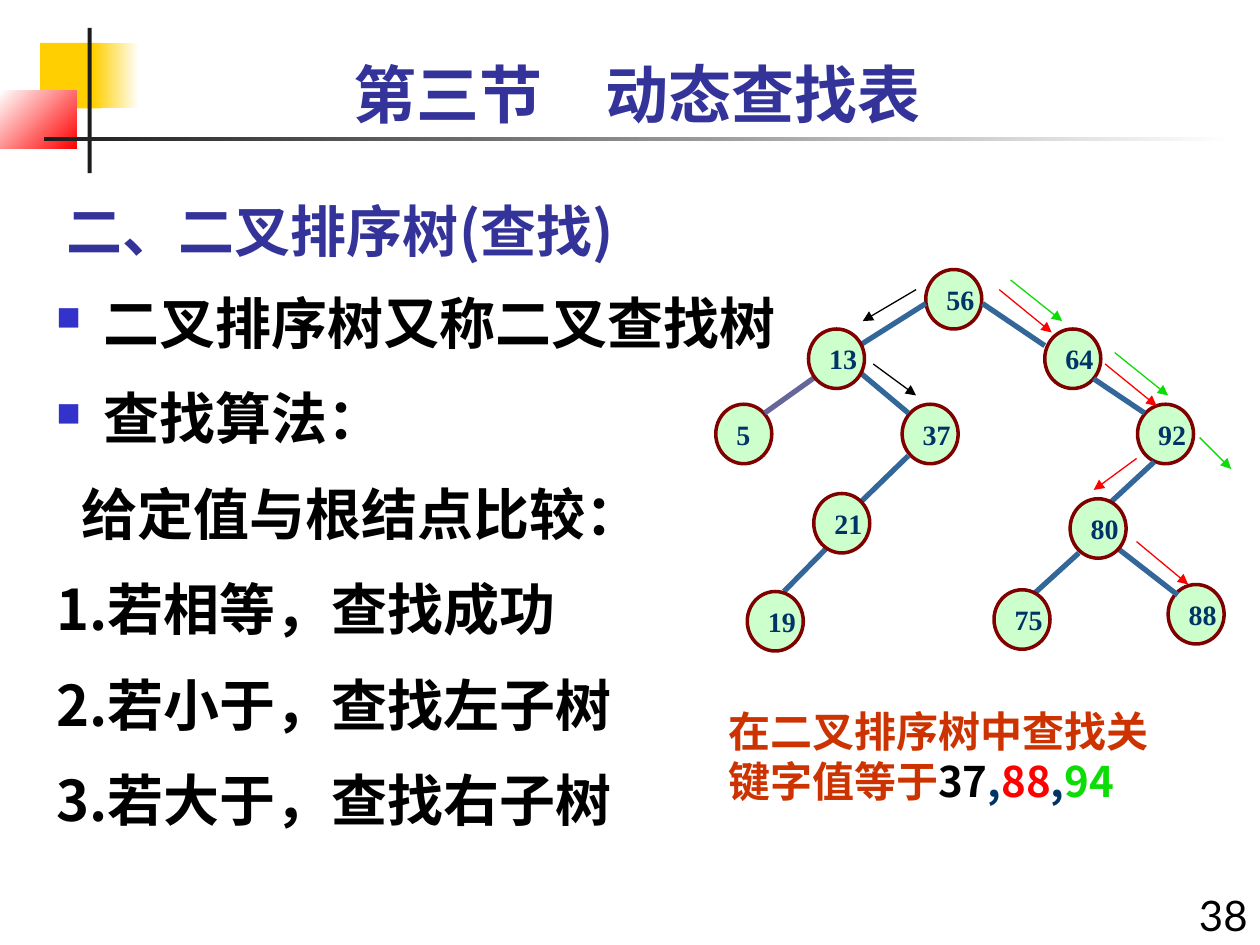
from lxml.etree import SubElement
from pptx import Presentation
from pptx.dml.color import RGBColor
from pptx.enum.shapes import MSO_CONNECTOR as CONNECTOR, MSO_SHAPE as SHAPE
from pptx.enum.text import MSO_ANCHOR as ANCHOR, PP_ALIGN as ALIGN
from pptx.oxml.ns import qn
from pptx.util import Pt

YELLOW = RGBColor(0xFF, 0xCF, 0x01)
WHITE = RGBColor(0xFF, 0xFF, 0xFF)
RED = RGBColor(0xFF, 0x00, 0x00)
GREEN = RGBColor(0x0C, 0xDD, 0x07)
BLACK = RGBColor(0x00, 0x00, 0x00)
CHARCOAL = RGBColor(0x1C, 0x1C, 0x1C)
INDIGO = RGBColor(0x33, 0x33, 0x99)
BULLET_BLUE = RGBColor(0x33, 0x33, 0xCC)
RUST = RGBColor(0xCC, 0x33, 0x00)
NAVY = RGBColor(0x00, 0x33, 0x66)
MINT = RGBColor(0xCC, 0xFF, 0xCC)
MAROON = RGBColor(0x80, 0x00, 0x00)
STEEL = RGBColor(0x33, 0x66, 0x99)
VIOLET = RGBColor(0x66, 0x66, 0x99)

CJK, LATIN, SERIF = "Noto Sans CJK SC", "Lato", "Times New Roman"
NODE_WIDTH, NODE_HEIGHT = 32, 34

ROOT_NODES = [("56", 120, 0), ("64", 188, 34), ("5", 0, 77),
              ("92", 241, 77), ("37", 106.5, 77), ("88", 258.5, 180)]
FRONT_NODES = [("19", 18, 184), ("80", 202.5, 131), ("21", 56, 128),
               ("13", 53, 34), ("75", 159, 183)]
BRANCHES = [
    (120, 19.5, 82, 43.5, STEEL), (56, 62, 28, 82, VIOLET),
    (152.5, 19.5, 188, 43.5, STEEL), (82, 58.5, 110, 82, STEEL),
    (110, 106.5, 75.5, 140, STEEL), (216, 62.5, 245, 82, STEEL),
    (250.5, 110, 223, 135.5, STEEL), (230.5, 160, 264, 186, STEEL),
    (67.5, 155, 39, 184, STEEL), (207.5, 162, 180, 187, STEEL),
]
SEARCH_STEPS = [
    (114.5, 11.5, 84, 29.5, BLACK), (90, 54, 114.5, 72, BLACK),
    (162, 11.5, 192, 36, RED), (222.5, 54, 252, 78, RED),
    (240.5, 155.5, 270, 180, RED), (240.5, 108, 216, 126, RED),
    (168.5, 6, 198, 29.5, GREEN), (228, 47.5, 258.5, 72, GREEN),
    (276.5, 96, 294.5, 114, GREEN),
]


def set_font(font, name, size, color, bold=True):
    font.name, font.size, font.bold = name, Pt(size), bold
    font.color.rgb = color


def add_block(slide, left, top, width, height, start, end=None, angle=0):
    block = slide.shapes.add_shape(
        SHAPE.RECTANGLE, Pt(left), Pt(top), Pt(width), Pt(height))
    block.shadow.inherit = False
    block.line.fill.background()
    if end is None:
        block.fill.solid()
        block.fill.fore_color.rgb = start
        return
    block.fill.gradient()
    block.fill.gradient_angle = angle
    for stop, color, position in zip(block.fill.gradient_stops, (start, end), (0, 1)):
        stop.color.rgb = color
        stop.position = position


def add_frame(slide, left, top, width, height):
    frame = slide.shapes.add_textbox(
        Pt(left), Pt(top), Pt(width), Pt(height)).text_frame
    frame.word_wrap = True
    return frame


def add_heading(slide, box, text, font, size, color, bold=True,
                align=ALIGN.LEFT, anchor=ANCHOR.TOP):
    frame = add_frame(slide, *box)
    frame.vertical_anchor = anchor
    paragraph = frame.paragraphs[0]
    paragraph.text = text
    paragraph.alignment = align
    set_font(paragraph.font, font, size, color, bold)


def add_ornament(slide, left, top):
    add_block(slide, left + 23, top + 8.5, 34.5, 37.5, YELLOW)
    add_block(slide, left + 53.5, top + 8.5, 26, 37.5, YELLOW, WHITE)
    add_block(slide, left, top + 36, 44, 33, WHITE, RED, 315)
    add_block(slide, left + 50, top, 2.4, 83, CHARCOAL)
    add_block(slide, left + 25, top + 62, 680, 2.4, CHARCOAL, WHITE)


def add_bullet(properties):
    color = SubElement(properties, qn("a:buClr"))
    SubElement(color, qn("a:srgbClr"), val=str(BULLET_BLUE))
    SubElement(properties, qn("a:buSzPct"), val="60000")
    SubElement(properties, qn("a:buChar"), char="■")


def add_algorithm(slide, left, top, width, height):
    lines = [
        ("二叉排序树又称二叉查找树", 27, -27, True),
        ("查找算法：", 27, -27, True),
        ("给定值与根结点比较：", 14.5, 0, False),
        ("1.若相等，查找成功", 27, -27, False),
        ("2.若小于，查找左子树", 27, -27, False),
        ("3.若大于，查找右子树", 27, -27, False),
    ]
    frame = add_frame(slide, left, top, width, height)
    for index, (text, margin, indent, bulleted) in enumerate(lines):
        paragraph = frame.add_paragraph() if index else frame.paragraphs[0]
        paragraph.text = text
        paragraph.line_spacing = 0.9
        if index:
            paragraph.space_before = Pt(20)
        properties = paragraph._p.get_or_add_pPr()
        properties.set("marL", str(Pt(margin)))
        properties.set("indent", str(Pt(indent)))
        if bulleted:
            add_bullet(properties)
        set_font(paragraph.font, CJK, 32, BLACK)


def add_question(slide, left, top, width, height):
    paragraph = add_frame(slide, left, top, width, height).paragraphs[0]
    for text, color in [("在二叉排序树中查找关键字值等于", RUST), ("37", BLACK),
                        (",", NAVY), ("88", RED), (",", NAVY), ("94", GREEN)]:
        run = paragraph.add_run()
        run.text = text
        set_font(run.font, CJK, 24, color)


def add_node(slide, key, left, top):
    node = slide.shapes.add_shape(
        SHAPE.OVAL, Pt(left), Pt(top), Pt(NODE_WIDTH), Pt(NODE_HEIGHT))
    node.shadow.inherit = False
    node.fill.solid()
    node.fill.fore_color.rgb = MINT
    node.line.color.rgb = MAROON
    node.line.width = Pt(2)
    frame = node.text_frame
    frame.word_wrap = False
    frame.vertical_anchor = ANCHOR.MIDDLE
    paragraph = frame.paragraphs[0]
    paragraph.text = key
    paragraph.alignment = ALIGN.LEFT
    set_font(paragraph.font, SERIF, 16, NAVY)


def add_line(slide, start_x, start_y, end_x, end_y, color, width, arrow=False):
    line = slide.shapes.add_connector(
        CONNECTOR.STRAIGHT, Pt(start_x), Pt(start_y), Pt(end_x), Pt(end_y))
    line.line.color.rgb = color
    line.line.width = Pt(width)
    if arrow:
        SubElement(line.line._get_or_add_ln(), qn("a:tailEnd"), type="triangle")
    SubElement(line._element.spPr, qn("a:effectLst"))


def add_tree(slide, left, top):
    def add_nodes(nodes):
        for key, x, y in nodes:
            add_node(slide, key, left + x, top + y)

    def add_lines(lines, width, arrow):
        for x1, y1, x2, y2, color in lines:
            add_line(slide, left + x1, top + y1, left + x2, top + y2,
                     color, width, arrow)

    add_nodes(ROOT_NODES)
    add_lines(BRANCHES, 3, False)
    add_nodes(FRONT_NODES)
    add_lines(SEARCH_STEPS, 0.75, True)


def main():
    deck = Presentation()
    deck.slide_width, deck.slide_height = Pt(720), Pt(540)
    slide = deck.slides.add_slide(deck.slide_layouts[6])
    add_ornament(slide, 0, 16)
    add_heading(slide, (31, 100, 450, 54), "二、二叉排序树(查找)",
                CJK, 32, INDIGO, anchor=ANCHOR.BOTTOM)
    add_heading(slide, (672, 505, 48, 42), "38", LATIN, 24, BLACK,
                bold=False, align=ALIGN.RIGHT)
    add_heading(slide, (31, 28, 666, 50), "第三节\u3000动态查找表".replace("\u3000", "　"),
                LATIN, 36, INDIGO, align=ALIGN.CENTER)
    add_algorithm(slide, 25, 165.5, 690, 318)
    add_question(slide, 409, 399.5, 276, 65)
    add_tree(slide, 409, 154)
    deck.save("out.pptx")


if __name__ == "__main__":
    main()
